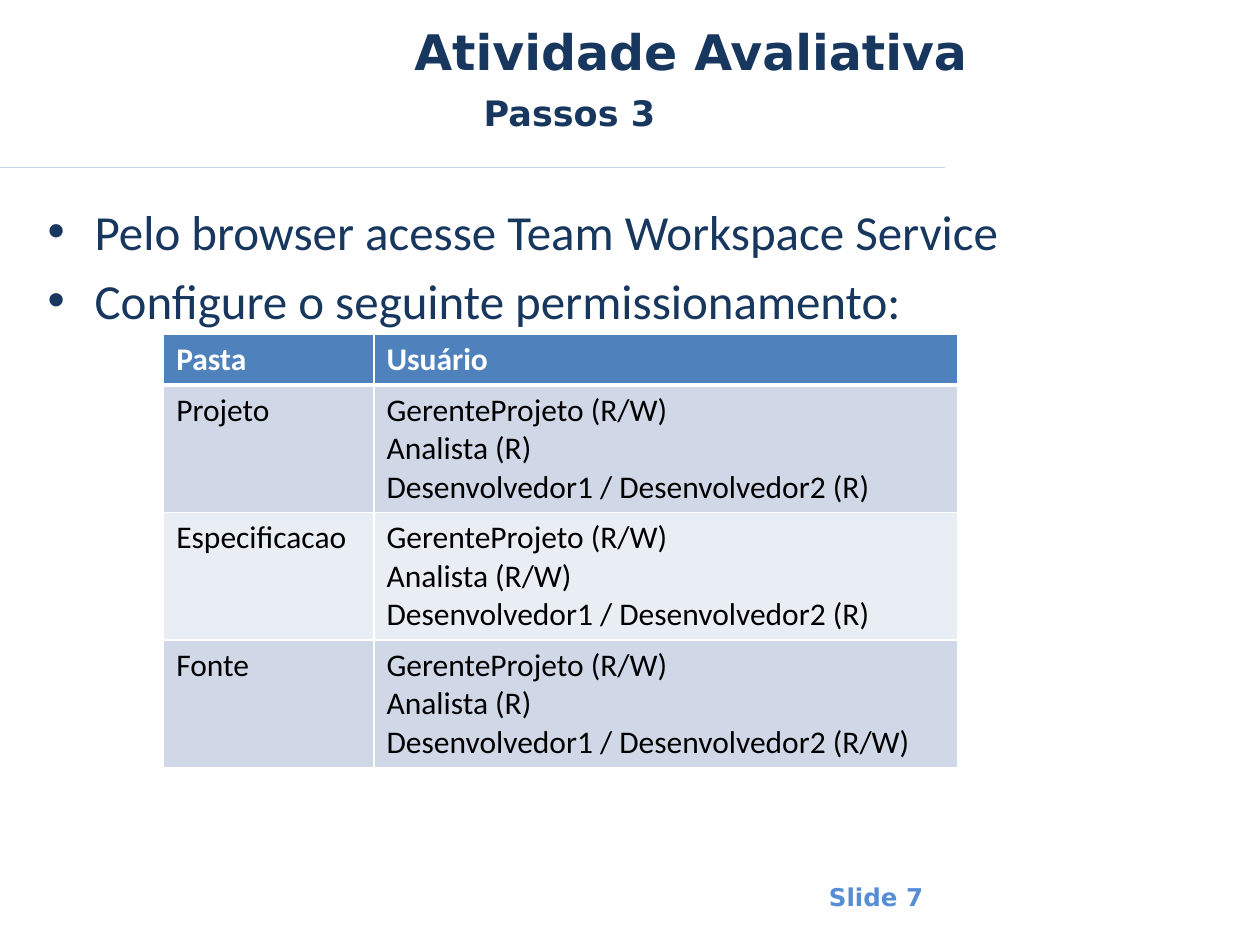
from lxml import etree
from pptx import Presentation
from pptx.dml.color import RGBColor
from pptx.enum.shapes import MSO_CONNECTOR
from pptx.enum.text import MSO_ANCHOR, PP_ALIGN
from pptx.oxml.ns import qn
from pptx.util import Cm, Pt

STRAIGHT = MSO_CONNECTOR.STRAIGHT
TOP, MIDDLE = MSO_ANCHOR.TOP, MSO_ANCHOR.MIDDLE
LEFT = PP_ALIGN.LEFT

NAVY = RGBColor(0x17, 0x37, 0x5E)
SLIDE_NUMBER_BLUE = RGBColor(0x55, 0x8E, 0xD5)
RULE_BLUE = RGBColor(0xC4, 0xD6, 0xEB)
HEADER_BLUE = RGBColor(0x4F, 0x81, 0xBD)
BANDS = (RGBColor(0xD0, 0xD8, 0xE8), RGBColor(0xE9, 0xED, 0xF4))
WHITE = RGBColor(0xFF, 0xFF, 0xFF)
BLACK = RGBColor(0x00, 0x00, 0x00)

HEADING_FONT = "DejaVu Sans"
BODY_FONT = "Calibri"
BODY_SIZE = 28

STEPS = (
    "Pelo browser acesse Team Workspace Service",
    "Configure o seguinte permissionamento:",
)
PERMISSIONS = (
    ("Pasta", "Usuário"),
    ("Projeto", "GerenteProjeto (R/W)\nAnalista (R)\nDesenvolvedor1 / Desenvolvedor2 (R)"),
    ("Especificacao", "GerenteProjeto (R/W)\nAnalista (R/W)\nDesenvolvedor1 / Desenvolvedor2 (R)"),
    ("Fonte", "GerenteProjeto (R/W)\nAnalista (R)\nDesenvolvedor1 / Desenvolvedor2 (R/W)"),
)


def format_text(text_frame, font_name, size, color, bold=False):
    for paragraph in text_frame.paragraphs:
        paragraph.alignment = LEFT
        for run in paragraph.runs:
            run.font.name = font_name
            run.font.size = Pt(size)
            run.font.color.rgb = color
            run.font.bold = bold


def place_heading(shape, box, text, size, anchor, color=NAVY):
    shape.left, shape.top, shape.width, shape.height = box
    text_frame = shape.text_frame
    text_frame.word_wrap = True
    text_frame.vertical_anchor = anchor
    text_frame.text = text
    format_text(text_frame, HEADING_FONT, size, color, bold=True)


def add_rule(slide, left, top, width):
    rule = slide.shapes.add_connector(STRAIGHT, left, top, left + width, top)
    rule.line.color.rgb = RULE_BLUE
    rule.line.width = Pt(0.75)
    etree.SubElement(rule._element.spPr, qn("a:effectLst"))


def add_steps(slide, box):
    text_frame = slide.shapes.add_textbox(*box).text_frame
    text_frame.word_wrap = True
    text_frame.text = "\n".join(STEPS)
    indent = Cm(0.95)
    for index, paragraph in enumerate(text_frame.paragraphs):
        if index:
            paragraph.space_before = Pt(0.2 * BODY_SIZE)
        properties = paragraph._p.get_or_add_pPr()
        properties.set("marL", str(indent))
        properties.set("indent", str(-indent))
        etree.SubElement(properties, qn("a:buFont"), typeface="Arial")
        etree.SubElement(properties, qn("a:buChar"), char="•")
    format_text(text_frame, BODY_FONT, BODY_SIZE, NAVY)


def set_borders(cell, widths):
    """Draw white borders; widths maps a:lnL, a:lnR, a:lnT and a:lnB to points."""
    properties = cell._tc.get_or_add_tcPr()
    for position, (side, width) in enumerate(widths.items()):
        line = etree.Element(qn(side), w=str(Pt(width)))
        fill = etree.SubElement(line, qn("a:solidFill"))
        etree.SubElement(fill, qn("a:srgbClr"), val=str(WHITE))
        properties.insert(position, line)


def add_permissions_table(slide, left, top, column_widths, row_heights):
    table = slide.shapes.add_table(
        len(row_heights), len(column_widths), left, top,
        sum(column_widths), sum(row_heights)).table
    for column, width in zip(table.columns, column_widths):
        column.width = width
    for row_index, (row, height) in enumerate(zip(table.rows, row_heights)):
        row.height = height
        is_header = row_index == 0
        fill_color = HEADER_BLUE if is_header else BANDS[(row_index - 1) % 2]
        borders = {"a:lnL": 1, "a:lnR": 1,
                   "a:lnT": 3 if row_index == 1 else 1,
                   "a:lnB": 3 if is_header else 1}
        for cell, text in zip(row.cells, PERMISSIONS[row_index]):
            cell.text = text
            cell.fill.solid()
            cell.fill.fore_color.rgb = fill_color
            format_text(cell.text_frame, BODY_FONT, 18,
                        WHITE if is_header else BLACK, bold=is_header)
            set_borders(cell, borders)


def main():
    presentation = Presentation()
    presentation.slide_width, presentation.slide_height = Cm(25.4), Cm(19.05)
    slide = presentation.slides.add_slide(presentation.slide_layouts[5])

    add_rule(slide, Cm(0), Cm(3.38), Cm(19.05))
    place_heading(slide.shapes.title, (Cm(8.1), Cm(0.33), Cm(17), Cm(1.4)),
                  "Atividade Avaliativa", 28, MIDDLE)
    add_steps(slide, (Cm(0.71), Cm(3.94), Cm(23), Cm(11.2)))

    subtitle_box = (Cm(9.5), Cm(1.73), Cm(15.4), Cm(1.6))
    place_heading(slide.shapes.add_textbox(*subtitle_box), subtitle_box,
                  "Passos 3", 20, TOP)
    add_permissions_table(slide, Cm(3.3), Cm(6.73), (Cm(4.24), Cm(11.76)),
                          (Cm(1.03),) + (Cm(2.57),) * 3)
    number_box = (Cm(16.46), Cm(17.65), Cm(3.58), Cm(0.86))
    place_heading(slide.shapes.add_textbox(*number_box), number_box,
                  "Slide 7", 14, TOP, SLIDE_NUMBER_BLUE)

    presentation.save("out.pptx")


if __name__ == "__main__":
    main()
